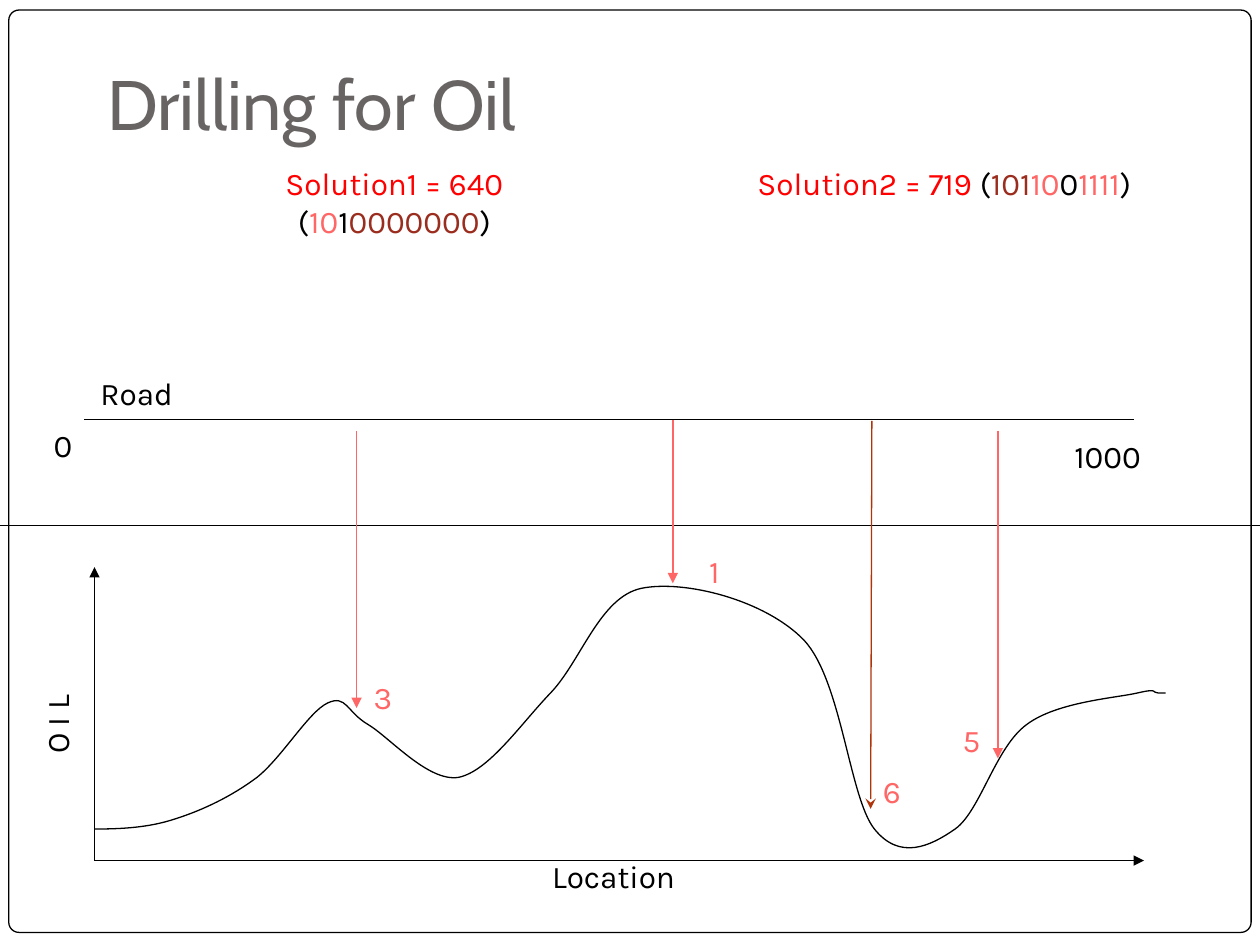
"""Builds the Drilling for Oil slide with two encoded solutions and an oil curve."""
from lxml import etree
from pptx import Presentation
from pptx.dml.color import RGBColor
from pptx.enum.shapes import MSO_CONNECTOR, MSO_SHAPE
from pptx.enum.text import MSO_ANCHOR, PP_ALIGN
from pptx.oxml.ns import qn
from pptx.util import Inches, Pt

STRAIGHT = MSO_CONNECTOR.STRAIGHT
RECTANGLE, ROUNDED = MSO_SHAPE.RECTANGLE, MSO_SHAPE.ROUNDED_RECTANGLE
BOTTOM = MSO_ANCHOR.BOTTOM
CENTER, LEFT = PP_ALIGN.CENTER, PP_ALIGN.LEFT
COLORS = {
    "black": "000000",
    "white": "FFFFFF",
    "gray": "696464",
    "red": "FF0000",
    "coral": "FF6666",
    "brown": "9B2D1F",
    "rust": "AF3408",
}


def write_text(shape, runs, size=18, font="Karla", align=CENTER):
    """Writes (text, color) runs into the first paragraph of a shape."""
    shape.text_frame.word_wrap = True
    paragraph = shape.text_frame.paragraphs[0]
    paragraph.alignment = align
    for text, color in runs:
        run = paragraph.add_run()
        run.text = text
        run.font.size = Pt(size)
        run.font.name = font
        run.font.color.rgb = RGBColor.from_string(COLORS[color])


def add_line(start, end, color="black", width=0.75, arrowhead=None):
    """Adds a straight line, with an arrowhead at its end if one is named."""
    points = [Inches(value) for value in (*start, *end)]
    connector = slide.shapes.add_connector(STRAIGHT, *points)
    connector.line.color.rgb = RGBColor.from_string(COLORS[color])
    connector.line.width = Pt(width)
    if arrowhead:
        line = connector.line._get_or_add_ln()
        etree.SubElement(line, qn("a:tailEnd"), type=arrowhead)
    etree.SubElement(connector._element.spPr, qn("a:effectLst"))


presentation = Presentation()
presentation.slide_width = Inches(10)
presentation.slide_height = Inches(7.5)
slide = presentation.slides.add_slide(presentation.slide_layouts[5])

frame = slide.shapes.add_shape(ROUNDED, Inches(0.07), Inches(0.08), Inches(9.86), Inches(7.32))
frame.adjustments[0] = 0.011
frame.fill.background()
frame.line.color.rgb = RGBColor.from_string(COLORS["black"])
frame.line.width = Pt(0.75)
frame.shadow.inherit = False

title = slide.shapes.title
title.left, title.top = Inches(0.75), Inches(0.25)
title.width, title.height = Inches(8.5), Inches(1)
title.text_frame.vertical_anchor = BOTTOM
title.text_frame.margin_bottom = Inches(0.1)
write_text(title, [("Drilling for Oil", "gray")], size=40, font="Cabin", align=LEFT)

curve_start = (0.75, 6.58)
curve_segments = [
    ((0.96, 6.58), (1.18, 6.57), (1.39, 6.5)),
    ((1.61, 6.43), (1.84, 6.32), (2.04, 6.17)),
    ((2.24, 6.01), (2.45, 5.65), (2.6, 5.58)),
    ((2.75, 5.51), (2.75, 5.65), (2.92, 5.75)),
    ((3.09, 5.85), (3.4, 6.21), (3.64, 6.17)),
    ((3.88, 6.12), (4.13, 5.75), (4.37, 5.5)),
    ((4.61, 5.25), (4.76, 4.74), (5.09, 4.67)),
    ((5.43, 4.6), (6.07, 4.76), (6.38, 5.08)),
    ((6.68, 5.4), (6.74, 6.33), (6.94, 6.58)),
    ((7.14, 6.83), (7.38, 6.72), (7.58, 6.58)),
    ((7.78, 6.44), (7.9, 5.93), (8.15, 5.75)),
    ((8.39, 5.57), (8.86, 5.54), (9.03, 5.5)),
    ((9.2, 5.46), (9.14, 5.5), (9.19, 5.5)),
    ((9.24, 5.5), (9.3, 5.5), (9.35, 5.5)),
    ((9.4, 5.5), (9.47, 5.53), (9.51, 5.5)),
    ((9.55, 5.47), (9.83, 6.67), (9.59, 5.33)),
]
builder = slide.shapes.build_freeform(*[Inches(value) for value in curve_start])
builder.add_line_segments(
    [(Inches(x), Inches(y)) for segment in curve_segments for x, y in segment], close=False
)
oil_curve = builder.convert_to_shape()
straight_parts = list(oil_curve._element.iter(qn("a:lnTo")))
for index in range(0, len(straight_parts), 3):
    triple = straight_parts[index:index + 3]
    bezier = etree.Element(qn("a:cubicBezTo"))
    triple[0].addprevious(bezier)
    for part in triple:
        bezier.append(part[0])
        part.getparent().remove(part)
oil_curve.fill.background()
oil_curve.line.color.rgb = RGBColor.from_string(COLORS["black"])
oil_curve.line.width = Pt(0.75)
oil_curve.shadow.inherit = False

curve_end = slide.shapes.add_shape(
    RECTANGLE, Inches(9.25), Inches(5.08), Inches(0.58), Inches(1.17)
)
curve_end.fill.solid()
curve_end.fill.fore_color.rgb = RGBColor.from_string(COLORS["white"])
curve_end.line.fill.background()
curve_end.shadow.inherit = False

solution_1 = [
    ("Solution1 = 640 ", "red"), ("(", "black"), ("10", "coral"),
    ("1", "black"), ("0000000", "brown"), (")", "black"),
]
solution_2 = [
    ("Solution2 = 719 ", "red"), ("(", "black"), ("101", "brown"), ("10", "coral"),
    ("0", "black"), ("1111", "coral"), (")", "black"),
]
labels = [
    (0.25, 3.33, 0.5, 0.5, 0, [("0", "black")]),
    (8.25, 3.42, 1.08, 0.5, 0, [("1000", "black")]),
    (0.17, 2.92, 1.83, 0.5, 0, [("Road", "black")]),
    (5.83, 1.25, 3.33, 0.71, 0, solution_2),
    (1.67, 1.25, 2.92, 0.71, 0, solution_1),
    (-0.08, 5.5, 1.16, 0.5, 270, [("O I L", "black")]),
    (3.33, 6.75, 3.08, 0.5, 0, [("Location", "black")]),
    (2.58, 5.33, 0.92, 0.5, 0, [("3", "coral")]),
    (7.25, 5.67, 0.92, 0.5, 0, [("5", "coral")]),
    (5.42, 4.33, 0.5, 0.4, 0, [("1", "coral")]),
    (6.83, 6.08, 0.5, 0.4, 0, [("6", "coral")]),
]
for left, top, width, height, rotation, runs in labels:
    label = slide.shapes.add_textbox(Inches(left), Inches(top), Inches(width), Inches(height))
    label.rotation = rotation
    write_text(label, runs)

add_line((0.67, 3.33), (9, 3.33))
add_line((0, 4.17), (10, 4.17))
for axis_end in ((0.75, 4.5), (9.08, 6.83)):
    add_line((0.75, 6.83), axis_end, arrowhead="triangle")
for x, top, bottom in ((2.83, 3.42, 5.62), (7.92, 3.42, 6.02), (5.34, 3.33, 4.63)):
    add_line((x, top), (x, bottom), color="coral", width=1, arrowhead="triangle")
add_line((6.92, 3.34), (6.91, 6.42), color="rust", arrowhead="stealth")

presentation.save("out.pptx")
